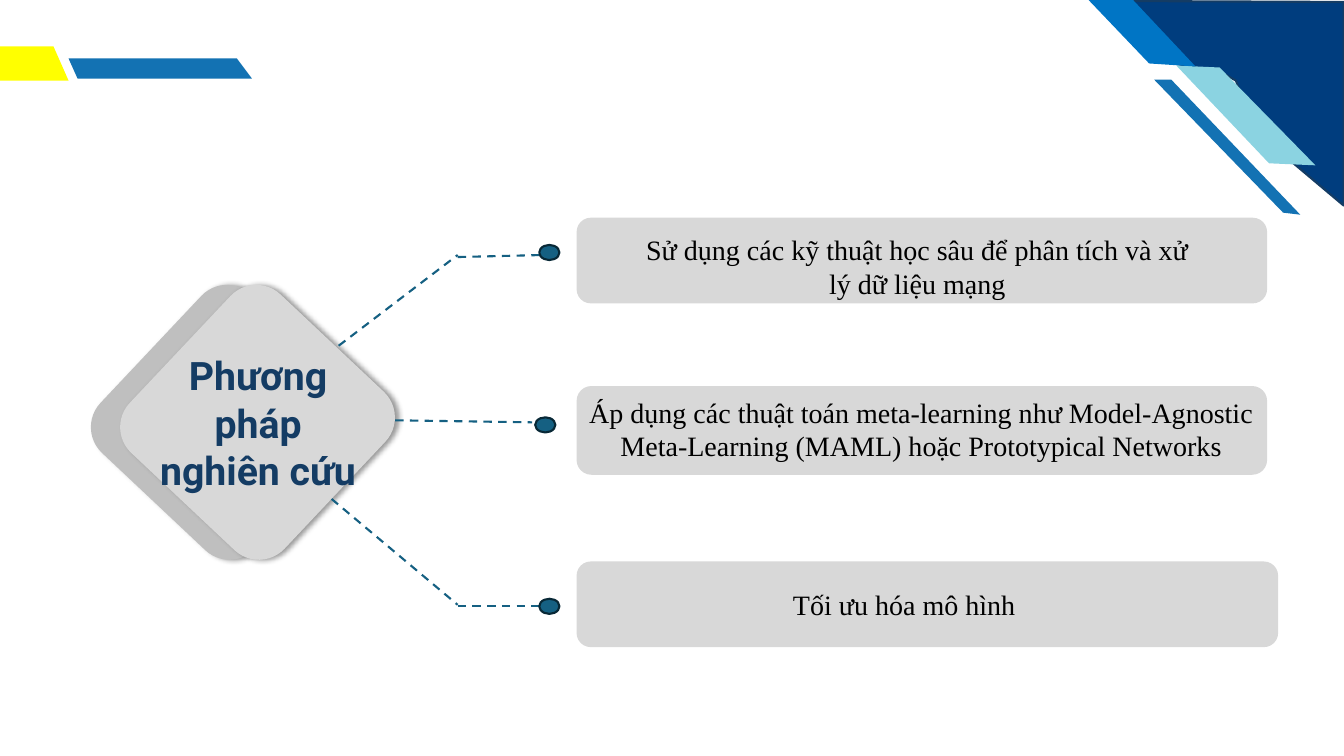
from lxml.etree import SubElement
from pptx import Presentation
from pptx.dml.color import RGBColor
from pptx.enum.dml import MSO_LINE
from pptx.enum.shapes import MSO_CONNECTOR, MSO_SHAPE
from pptx.enum.text import MSO_AUTO_SIZE, PP_ALIGN
from pptx.oxml.ns import qn
from pptx.util import Inches, Pt

COLORS = {
    "yellow": "FFFF00", "blue": "1372B3", "navy": "003D7E", "navy_edge": "143C64",
    "aqua": "8BD3E1", "azure": "0075C5", "silver": "D8D8D8", "gray": "BFBFBF",
    "teal": "156082", "teal_edge": "082836", "black": "000000",
}
COLUMNS, ROWS = 133.33, 75  # square grid cells of a tenth of an inch


def color(name):
    return RGBColor.from_string(COLORS[name])


class SlideBuilder:
    """Draws on one slide; every length is in grid columns and rows."""

    def __init__(self, prs):
        self.s = prs.slides.add_slide(prs.slide_layouts[6])
        self.cell_w = prs.slide_width / COLUMNS
        self.cell_h = prs.slide_height / ROWS

    def x(self, columns):
        return round(columns * self.cell_w)

    def y(self, rows):
        return round(rows * self.cell_h)

    def box(self, left, top, width, height):
        return self.x(left), self.y(top), self.x(width), self.y(height)

    def paint(self, sp, fill, edge=None):
        sp.shadow.inherit = False
        sp.fill.solid()
        sp.fill.fore_color.rgb = color(fill)
        if edge:
            sp.line.color.rgb = color(edge)
            sp.line.width = Pt(1.5)
        else:
            sp.line.fill.background()
        return sp

    def shape(self, kind, box, fill, edge=None):
        return self.paint(self.s.shapes.add_shape(kind, *self.box(*box)), fill, edge)

    def diamond(self, box, fill):
        sp = self.shape(MSO_SHAPE.ROUNDED_RECTANGLE, box, fill)
        sp.rotation = 43.3
        effects = sp._element.spPr.find(qn("a:effectLst"))
        shadow = SubElement(effects, qn("a:outerShdw"), blurRad=str(Pt(4)),
                            dist=str(Pt(3)), dir="0", algn="l", rotWithShape="0")
        black = SubElement(shadow, qn("a:srgbClr"), val=COLORS["black"])
        SubElement(black, qn("a:alpha"), val="40000")

    def polygon(self, points, fill, edge=None):
        start, *rest = [(self.x(px), self.y(py)) for px, py in points]
        builder = self.s.shapes.build_freeform(*start, scale=1.0)
        builder.add_line_segments(rest, close=True)
        self.paint(builder.convert_to_shape(), fill, edge)

    def text(self, box, words, font, size, fill, bold=False):
        tf = self.s.shapes.add_textbox(*self.box(*box)).text_frame
        tf.word_wrap = True
        tf.auto_size = MSO_AUTO_SIZE.SHAPE_TO_FIT_TEXT
        p = tf.paragraphs[0]
        p.text = words
        p.alignment = PP_ALIGN.CENTER
        p.font.name, p.font.size, p.font.bold = font, Pt(size), bold
        p.font.color.rgb = color(fill)

    def dashed_line(self, x1, y1, x2, y2):
        line = self.s.shapes.add_connector(
            MSO_CONNECTOR.STRAIGHT, self.x(x1), self.y(y1), self.x(x2), self.y(y2))
        line.line.color.rgb = color("teal")
        line.line.width = Pt(1.5)
        line.line.dash_style = MSO_LINE.DASH
        SubElement(line._element.spPr, qn("a:effectLst"))


def main():
    prs = Presentation()
    prs.slide_width, prs.slide_height = Inches(13.33), Inches(7.5)
    slide = SlideBuilder(prs)

    # Rear diamond
    slide.diamond((12.1, 31.1, 21.1, 21.6), "gray")

    # Title bar and corner decoration
    slide.polygon([(6.8, 5.8), (23.5, 5.8), (25, 7.8), (7.7, 7.8)], "blue")
    slide.polygon([(114.5, 7.9), (116.2, 7.9), (129, 21.3), (127.3, 21.1)], "blue")
    slide.polygon([(133.3, 0.2), (133.3, 20.4), (124.5, 13), (122.6, 8),
                   (121, 7.1), (118.4, 6.7), (116.5, 6.3), (114.6, 5.4),
                   (110.1, 0.1)], "navy", "navy_edge")
    slide.polygon([(130.5, 16.4), (125.9, 16.2), (116.7, 6.5), (121, 6.7)], "aqua")
    slide.polygon([(118.6, 6.6), (114, 6.3), (107.8, -0.2), (112.4, 0)], "azure")

    # Front diamond with the topic
    slide.diamond((15, 31.1, 21.1, 21.6), "silver")
    slide.text((14, 34.4, 23.2, 15.1), "Phương pháp nghiên cứu",
               "Roboto", 28, "navy_edge", bold=True)

    # Method bars: bar top, width and height, then text box and wording
    methods = [
        (55.7, 69.6, 8.5, (59, 57.8, 61.4, 4.4), "Tối ưu hóa mô hình"),
        (38.3, 68.5, 8.8, (56.6, 38.7, 69.6, 11.1),
         "Áp dụng các thuật toán meta-learning như Model-Agnostic "
         "Meta-Learning (MAML) hoặc Prototypical Networks"),
        (21.6, 68.5, 8.5, (62, 22.6, 58, 7.7),
         "Sử dụng các kỹ thuật học sâu để phân tích và xử lý dữ liệu mạng"),
    ]
    for top, width, height, text_box, words in methods:
        slide.shape(MSO_SHAPE.ROUNDED_RECTANGLE, (57.2, top, width, height), "silver")
        slide.text(text_box, words, "Times New Roman", 20, "black")

    # Yellow tab
    slide.polygon([(0, 4.6), (5.3, 4.6), (6.8, 8), (0, 8)], "yellow")

    # Dashed branches and their end dots
    for ends in [(33.6, 34.3, 45.4, 25.3), (32.9, 49.5, 45.4, 60),
                 (39.2, 41.7, 52.8, 41.9), (45.4, 25.5, 53.8, 25.3),
                 (45.4, 60.1, 53.8, 60.1)]:
        slide.dashed_line(*ends)
    for left, top in [(53.5, 24.3), (53.1, 41.4), (53.5, 59.4)]:
        slide.shape(MSO_SHAPE.OVAL, (left, top, 2, 1.5), "teal", "teal_edge")

    prs.save("out.pptx")


if __name__ == "__main__":
    main()
